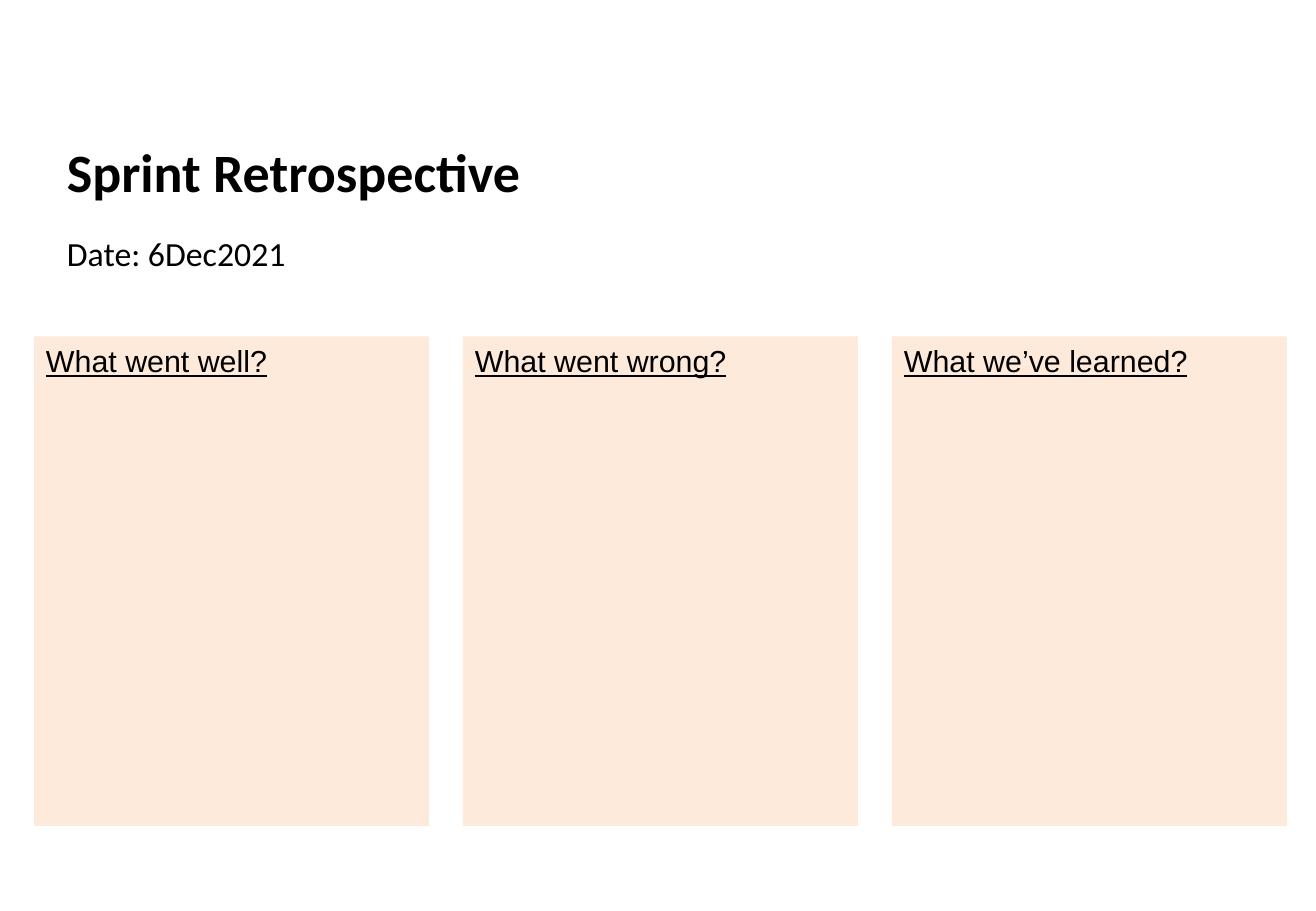
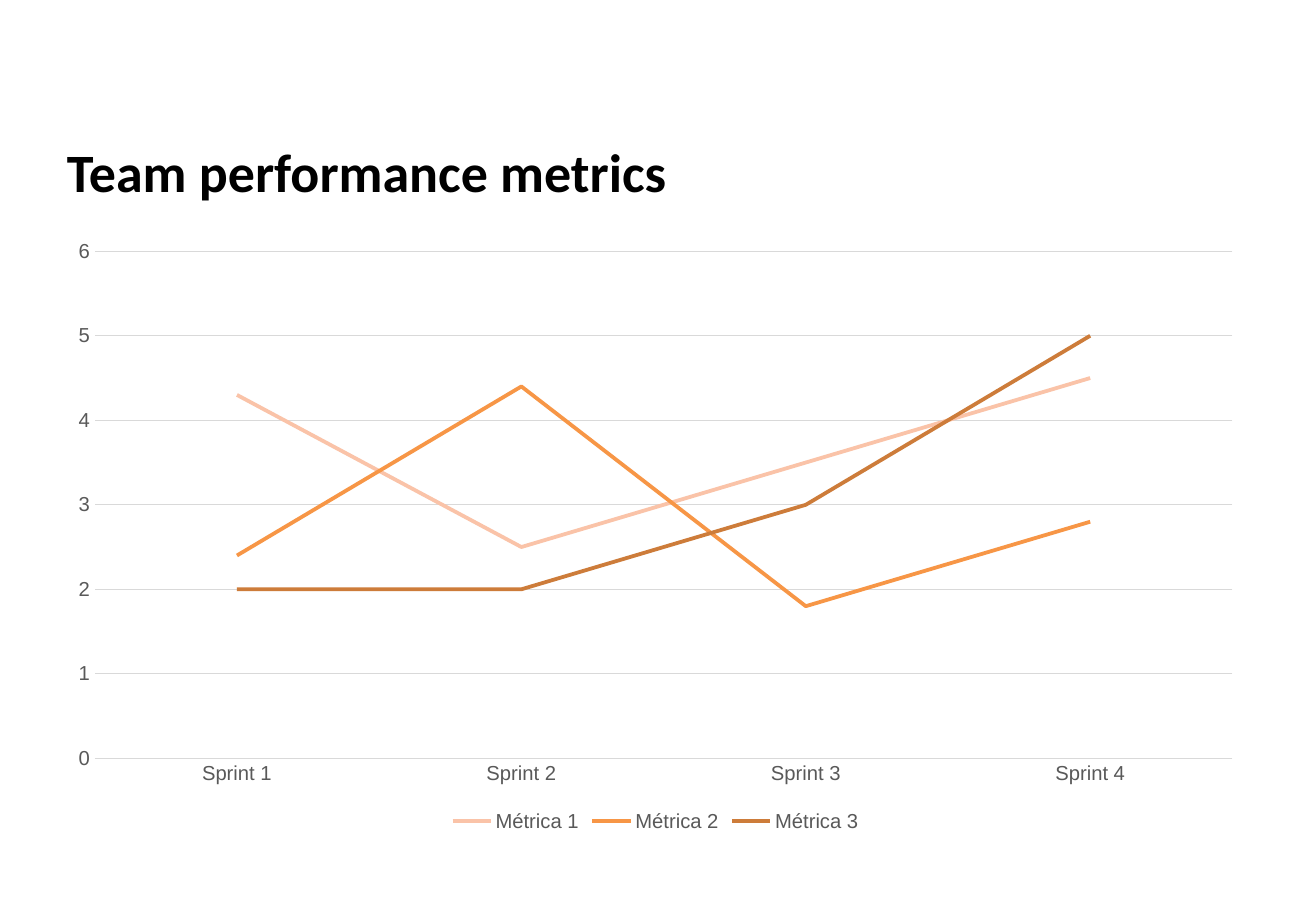
from pptx import Presentation
from pptx.chart.data import CategoryChartData
from pptx.dml.color import RGBColor
from pptx.enum.chart import XL_CHART_TYPE as ChartType, XL_LEGEND_POSITION as LegendPosition
from pptx.enum.chart import XL_MARKER_STYLE as MarkerStyle, XL_TICK_MARK as TickMark
from pptx.enum.shapes import MSO_SHAPE as Shape
from pptx.enum.text import MSO_ANCHOR as Anchor, MSO_AUTO_SIZE as AutoSize, PP_ALIGN as Align
from pptx.oxml.ns import qn
from pptx.util import Pt

PX = 9144  # EMU: 100 px to the inch
PAGE_WIDTH, PAGE_HEIGHT = 1083, 750
LEFT, WIDTH = 45, 989
TITLE_BOX = (LEFT, 109, WIDTH, 63)
BODY_BOX = (LEFT, 187, WIDTH, 502)
CHART_BOX = (LEFT, 188, WIDTH, 501)
COLUMN_LEFT, COLUMN_TOP = 28, 277
COLUMN_WIDTH, COLUMN_HEIGHT, COLUMN_GAP = 325, 403, 28

BLACK = RGBColor(0x00, 0x00, 0x00)
PEACH = RGBColor(0xFD, 0xEA, 0xDA)
GRAY = RGBColor(0x59, 0x59, 0x59)
LIGHT_GRAY = RGBColor(0xD9, 0xD9, 0xD9)
SALMON = RGBColor(0xFA, 0xC3, 0xA8)
ORANGE = RGBColor(0xF7, 0x96, 0x46)
BROWN = RGBColor(0xCD, 0x7C, 0x3A)

TITLE_FONT = {"name": "Calibri", "size": Pt(32), "bold": True, "color": BLACK}
BODY_FONT = {"name": "Calibri", "size": Pt(20), "color": BLACK}
COLUMN_FONT = {"name": "Arial", "size": Pt(18), "underline": True, "color": BLACK}
CHART_FONT = {"name": "Arial", "size": Pt(12), "color": GRAY}

QUESTIONS = ("What went well?", "What went wrong?", "What we’ve learned?")
SPRINTS = ("Sprint 1", "Sprint 2", "Sprint 3", "Sprint 4")
METRICS = (
    ("Métrica 1", (4.3, 2.5, 3.5, 4.5), SALMON),
    ("Métrica 2", (2.4, 4.4, 1.8, 2.8), ORANGE),
    ("Métrica 3", (2, 2, 3, 5), BROWN),
)


def scaled(box):
    return [length * PX for length in box]


def style_font(font, style):
    for key, value in style.items():
        if key == "color":
            font.color.rgb = value
        else:
            setattr(font, key, value)


def style_line(line, color, width):
    line.color.rgb = color
    line.width = Pt(width)


def write(shape, text, style, anchor):
    """Put one left-aligned paragraph into the shape and return it."""
    frame = shape.text_frame
    frame.auto_size = AutoSize.NONE
    frame.word_wrap = True
    frame.vertical_anchor = anchor
    para = frame.paragraphs[0]
    para.alignment = Align.LEFT
    span = para.add_run()
    span.text = text
    style_font(span.font, style)
    return para


def fill_placeholder(shape, box, text, style, anchor):
    shape.left, shape.top, shape.width, shape.height = scaled(box)
    return write(shape, text, style, anchor)


def add_page(deck, layout_name, title):
    page = deck.slides.add_slide(deck.slide_layouts.get_by_name(layout_name))
    fill_placeholder(page.shapes.title, TITLE_BOX, title, TITLE_FONT, Anchor.MIDDLE)
    return page


def add_body(page, text):
    para = fill_placeholder(page.placeholders[1], BODY_BOX, text, BODY_FONT, Anchor.TOP)
    para.space_before, para.space_after = Pt(0), Pt(4)
    properties = para._p.get_or_add_pPr()
    properties.set("marL", "0")
    properties.set("indent", "0")
    properties.append(properties.makeelement(qn("a:buNone"), {}))


def add_column(page, index, heading):
    left = COLUMN_LEFT + index * (COLUMN_WIDTH + COLUMN_GAP)
    box = (left, COLUMN_TOP, COLUMN_WIDTH, COLUMN_HEIGHT)
    column = page.shapes.add_shape(Shape.RECTANGLE, *scaled(box))
    column.shadow.inherit = False
    column.fill.solid()
    column.fill.fore_color.rgb = PEACH
    column.line.fill.background()
    write(column, heading, COLUMN_FONT, Anchor.TOP)


def add_line_chart(page):
    data = CategoryChartData()
    data.categories = SPRINTS
    for name, values, _ in METRICS:
        data.add_series(name, values)
    chart = page.shapes.add_chart(ChartType.LINE, *scaled(CHART_BOX), data).chart
    chart.has_title = False
    style_font(chart.font, CHART_FONT)

    chart.has_legend = True
    chart.legend.position = LegendPosition.BOTTOM
    chart.legend.include_in_layout = False
    style_font(chart.legend.font, CHART_FONT)

    for axis in (chart.category_axis, chart.value_axis):
        axis.major_tick_mark = axis.minor_tick_mark = TickMark.NONE
        style_font(axis.tick_labels.font, CHART_FONT)
    style_line(chart.category_axis.format.line, LIGHT_GRAY, 0.75)
    scale = {"minimum_scale": 0, "maximum_scale": 6, "major_unit": 1}
    for key, value in scale.items():
        setattr(chart.value_axis, key, value)
    chart.value_axis.format.line.fill.background()
    style_line(chart.value_axis.major_gridlines.format.line, LIGHT_GRAY, 0.75)

    plot = chart.plots[0]
    plot.vary_by_categories = False
    for series, (_, _, color) in zip(plot.series, METRICS):
        series.smooth = False
        series.marker.style = MarkerStyle.NONE
        style_line(series.format.line, color, 2.25)


def main():
    deck = Presentation()
    deck.slide_width, deck.slide_height = scaled((PAGE_WIDTH, PAGE_HEIGHT))

    retrospective = add_page(deck, "Title and Content", "Sprint Retrospective")
    add_body(retrospective, "Date: 6Dec2021")
    for index, question in enumerate(QUESTIONS):
        add_column(retrospective, index, question)

    metrics = add_page(deck, "Title Only", "Team performance metrics")
    add_line_chart(metrics)

    deck.save("out.pptx")


if __name__ == "__main__":
    main()
